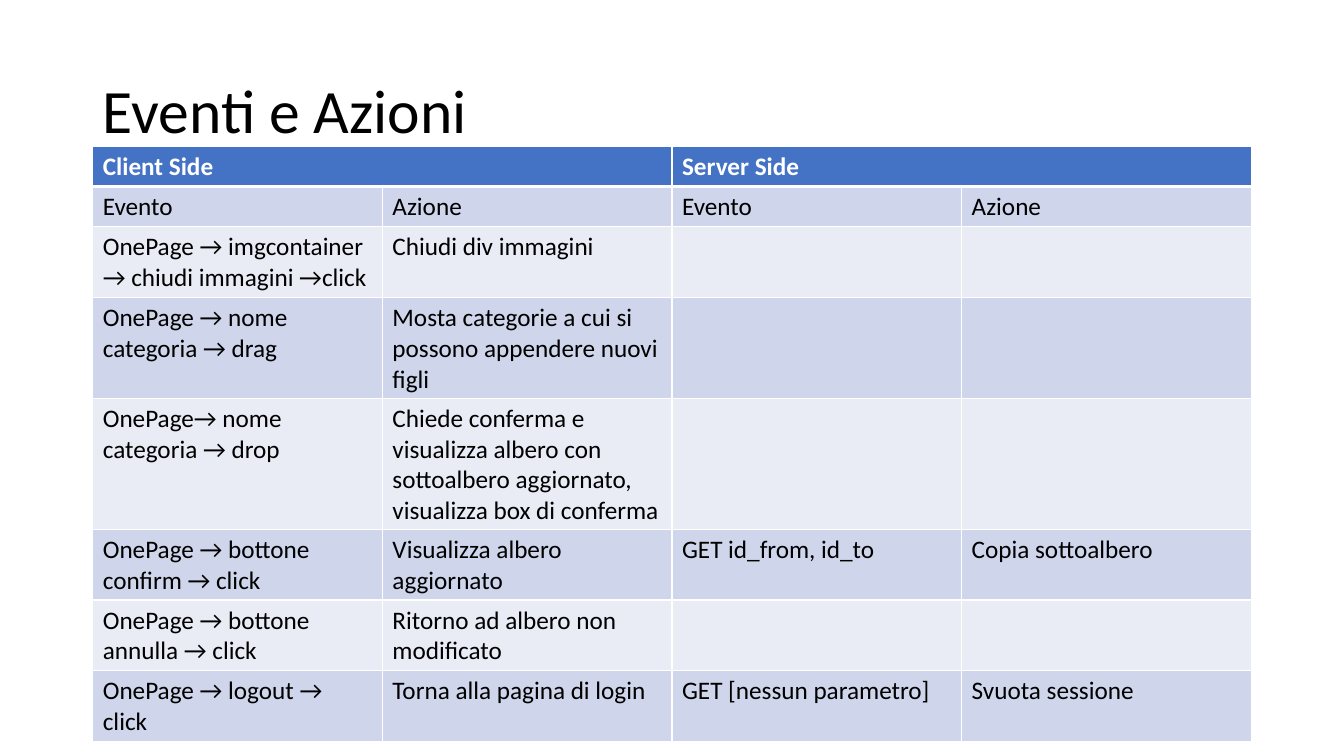
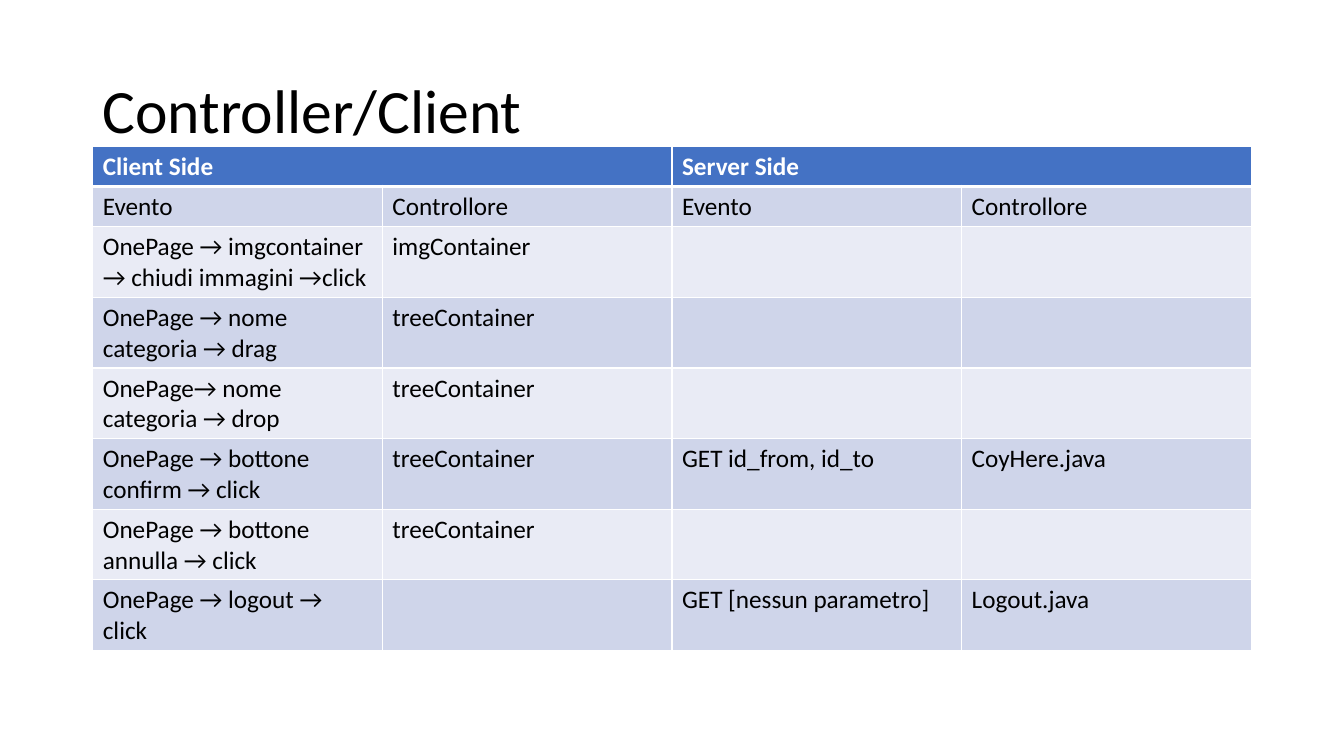
from lxml import etree
from pptx import Presentation
from pptx.dml.color import RGBColor
from pptx.enum.text import MSO_ANCHOR
from pptx.oxml.ns import qn
from pptx.util import Inches, Pt

MIDDLE = MSO_ANCHOR.MIDDLE

# Colours
WHITE = RGBColor(0xFF, 0xFF, 0xFF)
BLACK = RGBColor(0x00, 0x00, 0x00)
HEADER_BLUE = RGBColor(0x44, 0x72, 0xC4)
BAND_DARK = RGBColor(0xCF, 0xD5, 0xEA)
BAND_LIGHT = RGBColor(0xE9, 0xEB, 0xF5)

# Grid, in inches: four columns between the margins, fine rows down the slide
SLIDE_WIDTH, SLIDE_HEIGHT = 13.33, 7.5
MARGIN = 0.92
COLUMNS = 4
COLUMN = (SLIDE_WIDTH - 2 * MARGIN) / COLUMNS
ROW = SLIDE_HEIGHT / 150
TITLE_ROW, TITLE_ROWS = 8, 29
TABLE_ROW = 29

# Height of a table row, from its number of text lines
CELL_PADDING, LINE_HEIGHT = 0.1, 0.3

# Table texts shared by both slides
SIDES = ("Client Side", "Server Side")
EVENTS = (
    "OnePage → imgcontainer → chiudi immagini →click",
    "OnePage → nome categoria → drag",
    "OnePage→ nome categoria → drop",
    "OnePage → bottone confirm → click",
    "OnePage → bottone annulla → click",
    "OnePage → logout → click",
)
REQUESTS = ("", "", "", "GET id_from, id_to", "", "GET [nessun parametro]")


class Deck:
    """Holds the style and the current slide."""

    font_name = "Calibri"
    title_size = 44
    table_size = 18

    def __init__(self):
        self.presentation = Presentation()
        self.presentation.slide_width = Inches(SLIDE_WIDTH)
        self.presentation.slide_height = Inches(SLIDE_HEIGHT)
        self.slide = None

    def new_slide(self, title):
        blank = self.presentation.slide_layouts[6]
        self.slide = self.presentation.slides.add_slide(blank)
        self.title(title)

    def add_text(self, paragraph, text, size, color, bold=False):
        run = paragraph.add_run()
        run.text = text
        run.font.name = self.font_name
        run.font.size = Pt(size)
        run.font.color.rgb = color
        run.font.bold = bold

    def title(self, text):
        box = self.slide.shapes.add_textbox(
            Inches(MARGIN), Inches(TITLE_ROW * ROW),
            Inches(COLUMNS * COLUMN), Inches(TITLE_ROWS * ROW))
        frame = box.text_frame
        frame.word_wrap = True
        frame.vertical_anchor = MIDDLE
        paragraph = frame.paragraphs[0]
        paragraph.line_spacing = 0.9
        self.add_text(paragraph, text, self.title_size, BLACK)

    def borders(self, cell, top, bottom):
        properties = cell._tc.get_or_add_tcPr()
        widths = (("a:lnL", 1), ("a:lnR", 1), ("a:lnT", top), ("a:lnB", bottom))
        for position, (tag, width) in enumerate(widths):
            line = etree.Element(qn(tag), w=str(Pt(width)))
            fill = etree.SubElement(line, qn("a:solidFill"))
            etree.SubElement(fill, qn("a:srgbClr"), val=str(WHITE))
            properties.insert(position, line)

    def table(self, rows, line_counts):
        heights = [Inches(CELL_PADDING + LINE_HEIGHT * count) for count in line_counts]
        table = self.slide.shapes.add_table(
            len(rows), COLUMNS, Inches(MARGIN), Inches(TABLE_ROW * ROW),
            Inches(COLUMNS * COLUMN), sum(heights)).table
        table.first_row = table.horz_banding = False
        for column in table.columns:
            column.width = Inches(COLUMN)
        for index, (texts, height) in enumerate(zip(rows, heights)):
            table.rows[index].height = height
            header = index == 0
            band = BAND_DARK if index % 2 else BAND_LIGHT
            for cell, text in zip(table.rows[index].cells, texts):
                cell.fill.solid()
                cell.fill.fore_color.rgb = HEADER_BLUE if header else band
                self.borders(cell, 3 if index == 1 else 1, 3 if header else 1)
                if text:
                    self.add_text(cell.text_frame.paragraphs[0], text,
                                  self.table_size, WHITE if header else BLACK, header)
        # Each side's heading spans its two columns
        for left in range(0, COLUMNS, 2):
            table.cell(0, left).merge(table.cell(0, left + 1))

    def event_slide(self, title, heading, client, server, line_counts):
        self.new_slide(title)
        rows = [(SIDES[0], "", SIDES[1], ""), ("Evento", heading) * 2]
        rows += zip(EVENTS, client, REQUESTS, server)
        self.table(rows, line_counts)


def main():
    deck = Deck()

    # Events and the actions they trigger
    deck.event_slide(
        "Eventi e Azioni", "Azione",
        client=(
            "Chiudi div immagini",
            "Mosta categorie a cui si possono appendere nuovi figli",
            "Chiede conferma e visualizza albero con sottoalbero aggiornato, "
            "visualizza box di conferma",
            "Visualizza albero aggiornato",
            "Ritorno ad albero non modificato",
            "Torna alla pagina di login",
        ),
        server=("", "", "", "Copia sottoalbero", "", "Svuota sessione"),
        line_counts=(1, 1, 2, 3, 4, 2, 2, 2))

    # Events and the controllers that handle them
    deck.event_slide(
        "Controller/Client", "Controllore",
        client=("imgContainer", *["treeContainer"] * 4, ""),
        server=("", "", "", "CoyHere.java", "", "Logout.java"),
        line_counts=(1, 1, *[2] * len(EVENTS)))

    deck.presentation.save("out.pptx")


if __name__ == "__main__":
    main()
